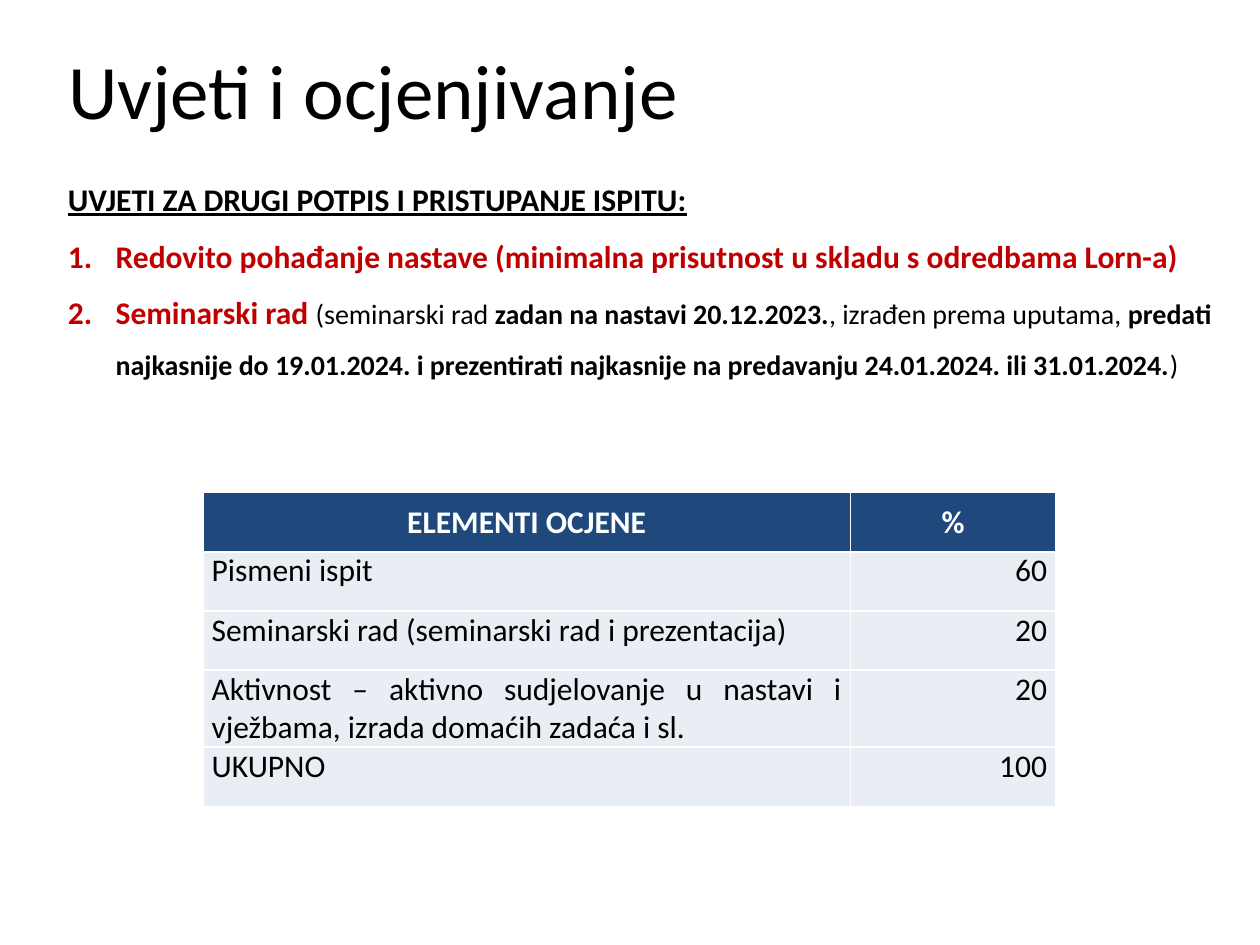
from pptx import Presentation
from pptx.dml.color import RGBColor
from pptx.enum.text import MSO_ANCHOR, PP_ALIGN
from pptx.oxml.xmlchemy import OxmlElement
from pptx.util import Inches, Pt

BLACK = RGBColor(0x00, 0x00, 0x00)
WHITE = RGBColor(0xFF, 0xFF, 0xFF)
RED = RGBColor(0xC0, 0x00, 0x00)
NAVY = RGBColor(0x1F, 0x49, 0x7D)
PALE = RGBColor(0xE9, 0xED, 0xF4)
FONT = "Calibri"
LEFT, RIGHT = PP_ALIGN.LEFT, PP_ALIGN.RIGHT
CENTER, JUSTIFY = PP_ALIGN.CENTER, PP_ALIGN.JUSTIFY
MIDDLE, TOP = MSO_ANCHOR.MIDDLE, MSO_ANCHOR.TOP

TITLE = "Uvjeti i ocjenjivanje"
HEADING = "UVJETI ZA DRUGI POTPIS I PRISTUPANJE ISPITU:"
# Each condition is a list of runs: text, size, colour, bold
CONDITIONS = [
    [("Redovito pohađanje nastave (minimalna prisutnost u skladu s odredbama Lorn-a)",
      18, RED, True)],
    [("Seminarski rad ", 18, RED, True),
     ("(seminarski rad ", 16, BLACK, False),
     ("zadan na nastavi 20.12.2023.", 16, BLACK, True),
     (", izrađen prema uputama, ", 16, BLACK, False),
     ("predati najkasnije do 19.01.2024. i prezentirati najkasnije "
      "na predavanju 24.01.2024. ili 31.01.2024.", 16, BLACK, True),
     (")", 16, BLACK, False)],
]
GRADING = [
    ("ELEMENTI OCJENE", "%"),
    ("Pismeni ispit", "60"),
    ("Seminarski rad (seminarski rad i prezentacija)", "20"),
    ("Aktivnost – aktivno sudjelovanje u nastavi i vježbama, "
     "izrada domaćih zadaća i sl.", "20"),
    ("UKUPNO", "100"),
]
COLUMN_WIDTHS = (5.14, 1.63)
ROW_HEIGHT = 0.47
MARGIN_LEFT = 0.44
NUMBER_INDENT = Inches(0.38)


def style(run, size, color, bold=False):
    run.font.name = FONT
    run.font.size = Pt(size)
    run.font.color.rgb = color
    run.font.bold = bold


def number(paragraph):
    """Give the paragraph an automatic number and a hanging indent."""
    properties = paragraph._p.get_or_add_pPr()
    properties.set("marL", str(NUMBER_INDENT))
    properties.set("indent", str(-NUMBER_INDENT))
    numbering = OxmlElement("a:buAutoNum")
    numbering.set("type", "arabicPeriod")
    properties.append(numbering)


def add_borders(cell):
    """Draw thin white lines on all sides; they must precede the fill."""
    properties = cell._tc.get_or_add_tcPr()
    for side in ("a:lnL", "a:lnR", "a:lnT", "a:lnB"):
        line = OxmlElement(side)
        line.set("w", str(Pt(1)))
        fill = OxmlElement("a:solidFill")
        color = OxmlElement("a:srgbClr")
        color.set("val", str(WHITE))
        fill.append(color)
        line.append(fill)
        properties.append(line)


def add_title(slide):
    title = slide.shapes.title
    title.left, title.top = Inches(MARGIN_LEFT), Inches(0.08)
    title.width, title.height = Inches(9), Inches(1.25)
    title.text_frame.text = TITLE
    title.text_frame.vertical_anchor = MIDDLE
    paragraph = title.text_frame.paragraphs[0]
    paragraph.alignment = LEFT
    style(paragraph.runs[0], 44, BLACK)


def add_conditions(slide):
    box = slide.shapes.add_textbox(
        Inches(MARGIN_LEFT), Inches(1.23), Inches(9.4), Inches(1.83))
    frame = box.text_frame
    frame.word_wrap = True
    frame.text = HEADING
    heading = frame.paragraphs[0]
    heading.line_spacing = 1.5
    style(heading.runs[0], 18, BLACK, True)
    heading.runs[0].font.underline = True
    for condition in CONDITIONS:
        paragraph = frame.add_paragraph()
        paragraph.line_spacing = 1.5
        number(paragraph)
        for text, size, color, bold in condition:
            run = paragraph.add_run()
            run.text = text
            style(run, size, color, bold)


def add_grading(slide):
    table = slide.shapes.add_table(
        len(GRADING), len(COLUMN_WIDTHS), Inches(1.61), Inches(3.91),
        Inches(sum(COLUMN_WIDTHS)), Inches(ROW_HEIGHT * len(GRADING))).table
    for column, width in zip(table.columns, COLUMN_WIDTHS):
        column.width = Inches(width)
    for r, texts in enumerate(GRADING):
        header = r == 0
        table.rows[r].height = Inches(ROW_HEIGHT)
        alignments = (CENTER, CENTER) if header else (JUSTIFY, RIGHT)
        for c, (text, alignment) in enumerate(zip(texts, alignments)):
            cell = table.cell(r, c)
            cell.margin_left = cell.margin_right = Inches(0.07)
            cell.margin_top = cell.margin_bottom = 0
            cell.vertical_anchor = MIDDLE if header else TOP
            add_borders(cell)
            cell.fill.solid()
            cell.fill.fore_color.rgb = NAVY if header else PALE
            cell.text_frame.text = text
            paragraph = cell.text_frame.paragraphs[0]
            paragraph.alignment = alignment
            paragraph.space_before = Pt(6)
            style(paragraph.runs[0], 18, WHITE if header else BLACK, header)


def main():
    presentation = Presentation()
    presentation.slide_width, presentation.slide_height = Inches(10), Inches(7.5)
    slide = presentation.slides.add_slide(presentation.slide_layouts[5])
    add_title(slide)
    add_grading(slide)
    add_conditions(slide)
    presentation.save("out.pptx")


if __name__ == "__main__":
    main()
